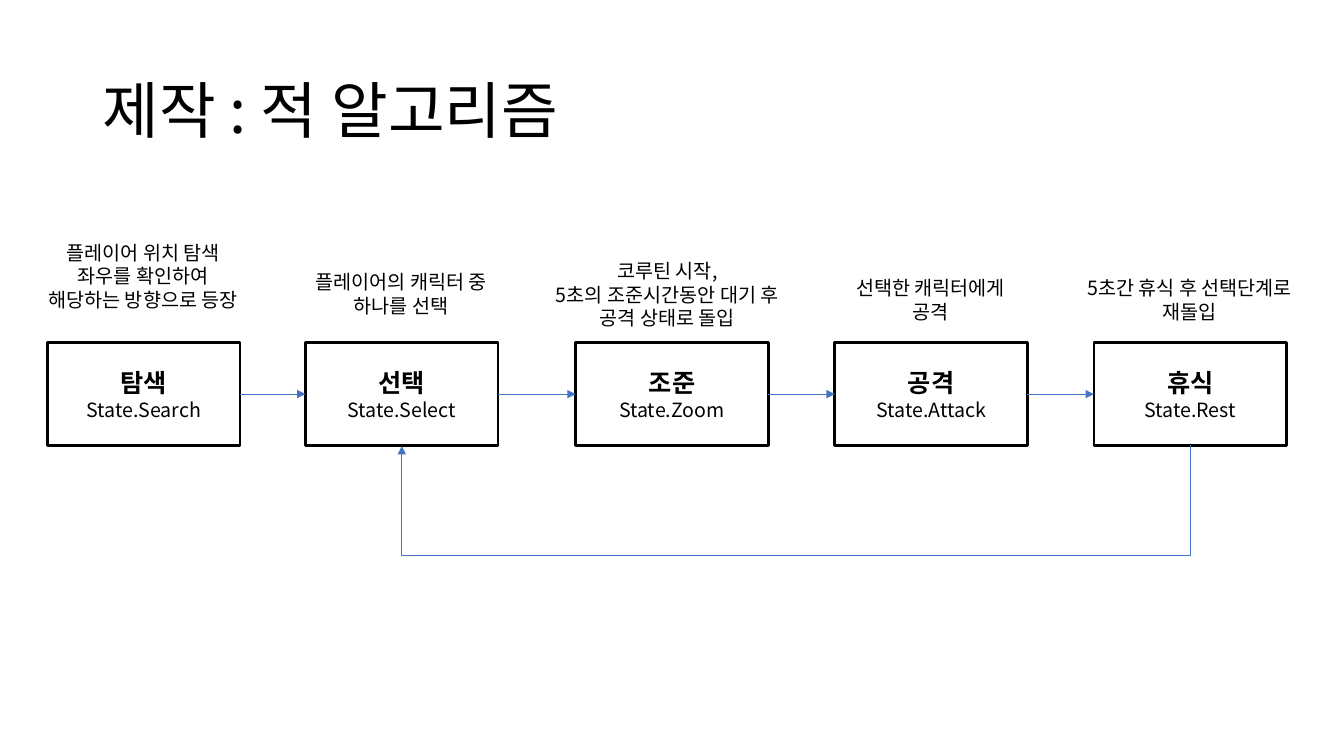
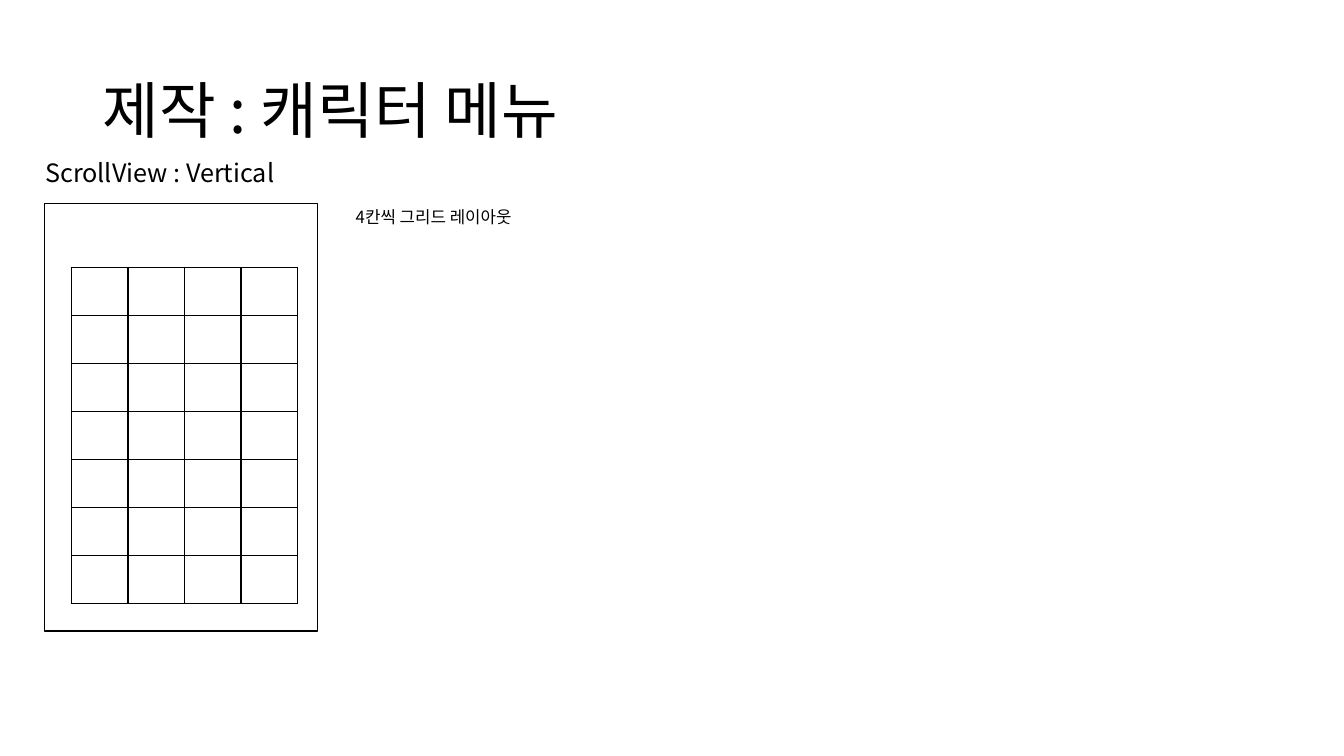
"""Build two slides: the enemy state algorithm and the character menu layout."""
import pptx
import pptx.util
import pptx.dml.color
import pptx.enum.shapes
import pptx.enum.text
import pptx.oxml
import pptx.oxml.ns

Inches = pptx.util.Inches
Pt = pptx.util.Pt
PP_ALIGN = pptx.enum.text.PP_ALIGN
ANCHOR = pptx.enum.text.MSO_ANCHOR
CONNECTOR = pptx.enum.shapes.MSO_CONNECTOR

FONT = "Noto Sans CJK KR"
COLORS = {"ink": "000000", "arrow": "4472C4"}
SLIDE_SIZE = (13.33, 7.5)
TITLE_AREA = (0.92, 0.4, 11.5, 1.45)
TITLES = {"algorithm": "제작 : 적 알고리즘", "menu": "제작 : 캐릭터 메뉴"}

STATE_TOP, STATE_WIDTH, STATE_HEIGHT = 3.4, 1.91, 1.02
RETURN_Y = 5.53
TOP_SITE, LEFT_SITE, BOTTOM_SITE, RIGHT_SITE = range(4)
STATES = [
    {"left": 0.47, "name": "탐색", "code": "State.Search", "caption_center": 1.42, "caption_top": 2.34,
     "caption": ["플레이어 위치 탐색", "좌우를 확인하여", "해당하는 방향으로 등장"]},
    {"left": 3.03, "name": "선택", "code": "State.Select", "caption_center": 3.98, "caption_top": 2.63,
     "caption": ["플레이어의 캐릭터 중", "하나를 선택"]},
    {"left": 5.71, "name": "조준", "code": "State.Zoom", "caption_center": 6.62, "caption_top": 2.52,
     "caption": ["코루틴 시작,", "5초의 조준시간동안 대기 후", "공격 상태로 돌입"]},
    {"left": 8.28, "name": "공격", "code": "State.Attack", "caption_center": 9.23, "caption_top": 2.69,
     "caption": ["선택한 캐릭터에게", "공격"]},
    {"left": 10.85, "name": "휴식", "code": "State.Rest", "caption_center": 11.8, "caption_top": 2.69,
     "caption": ["5초간 휴식 후 선택단계로", "재돌입"]},
]
CAPTION_WIDTH, CAPTION_LINE = 2.5, 0.24

MENU_FRAME = (0.44, 2.02, 2.71, 4.24)
MENU_GRID = (0.71, 2.65, 2.24, 3.34)
MENU_ROWS, MENU_COLUMNS = 7, 4
MENU_LABEL = "ScrollView : Vertical"
MENU_NOTE = "4칸씩 그리드 레이아웃"


def rgb(name):
    return pptx.dml.color.RGBColor.from_string(COLORS[name])


def area(*lengths):
    return [Inches(length) for length in lengths]


def add_xml(parent, tag, **attributes):
    child = pptx.oxml.parse_xml(f'<a:{tag} {pptx.oxml.ns.nsdecls("a")}/>')
    for key, value in attributes.items():
        child.set(key, str(value))
    parent.append(child)
    return child


def write(frame, lines, align=PP_ALIGN.LEFT, spacing=None):
    """Fill a text frame from (text, size, bold) lines."""
    frame.text = "\n".join(text for text, _, _ in lines)
    for paragraph, (_, size, bold) in zip(frame.paragraphs, lines):
        paragraph.alignment = align
        paragraph.line_spacing = spacing
        for run in paragraph.runs:
            run.font.size = Pt(size)
            run.font.bold = bold
            run.font.name = FONT
            run.font.color.rgb = rgb("ink")
            add_xml(run.font._element, "ea", typeface=FONT)


def add_text(slide, place, lines, wrap=True, anchor=ANCHOR.TOP, **style):
    frame = slide.shapes.add_textbox(*area(*place)).text_frame
    frame.word_wrap = wrap
    frame.vertical_anchor = anchor
    write(frame, lines, **style)


def add_titled_slide(deck, title):
    slide = deck.slides.add_slide(deck.slide_layouts[6])
    add_text(slide, TITLE_AREA, [(title, 44, False)], anchor=ANCHOR.MIDDLE, spacing=0.9)
    return slide


def add_outline(slide, place, weight):
    outline = slide.shapes.add_shape(pptx.enum.shapes.MSO_SHAPE.RECTANGLE, *area(*place))
    outline.shadow.inherit = False
    outline.fill.background()
    outline.line.color.rgb = rgb("ink")
    outline.line.width = Pt(weight)
    return outline


def add_arrow(slide, kind, source, source_site, target, target_site):
    arrow = slide.shapes.add_connector(kind, 0, 0, 0, 0)
    arrow.begin_connect(source, source_site)
    arrow.end_connect(target, target_site)
    arrow.line.color.rgb = rgb("arrow")
    arrow.line.width = Pt(0.5)
    add_xml(arrow.line._get_or_add_ln(), "tailEnd", type="triangle")
    add_xml(arrow._element.spPr, "effectLst")
    return arrow


def add_return_arrow(slide, source, target):
    """Run an elbow from below the source, along RETURN_Y, up into the target."""
    arrow = add_arrow(slide, CONNECTOR.ELBOW, source, BOTTOM_SITE, target, BOTTOM_SITE)
    span, depth = source.left - target.left, Inches(0.01)
    bottom = source.top + source.height
    center = target.left + (target.width + span) // 2
    transform = arrow._element.spPr.xfrm
    for flip in ("flipH", "flipV"):
        transform.attrib.pop(flip, None)
    transform.set("rot", str(90 * 60000))
    arrow.left, arrow.top = center - depth // 2, bottom - span // 2
    arrow.width, arrow.height = depth, span
    drop = round((Inches(RETURN_Y) - bottom) / depth * 100000)
    guides = arrow._element.spPr.prstGeom.get_or_add_avLst()
    add_xml(guides, "gd", name="adj1", fmla=f"val {drop}")


def build_algorithm(deck):
    slide = add_titled_slide(deck, TITLES["algorithm"])
    boxes = []
    for state in STATES:
        box = add_outline(slide, (state["left"], STATE_TOP, STATE_WIDTH, STATE_HEIGHT), 2)
        box.text_frame.vertical_anchor = ANCHOR.MIDDLE
        write(box.text_frame, [(state["name"], 18, True), (state["code"], 14, False)], PP_ALIGN.CENTER)
        boxes.append(box)
        caption = state["caption"]
        place = (state["caption_center"] - CAPTION_WIDTH / 2, state["caption_top"],
                 CAPTION_WIDTH, 0.1 + CAPTION_LINE * len(caption))
        add_text(slide, place, [(line, 14, False) for line in caption],
                 wrap=False, align=PP_ALIGN.CENTER)
    for source, target in zip(boxes, boxes[1:]):
        add_arrow(slide, CONNECTOR.STRAIGHT, source, RIGHT_SITE, target, LEFT_SITE)
    add_return_arrow(slide, boxes[-1], boxes[1])


def add_menu_grid(slide):
    grid = slide.shapes.add_table(MENU_ROWS, MENU_COLUMNS, *area(*MENU_GRID)).table
    grid.first_row = grid.horz_banding = False
    for cell in grid.iter_cells():
        properties = cell._tc.get_or_add_tcPr()
        for side in ("lnL", "lnR", "lnT", "lnB"):
            border = add_xml(properties, side, w=Pt(1))
            add_xml(add_xml(border, "solidFill"), "srgbClr", val=COLORS["ink"])
        cell.fill.background()


def build_menu(deck):
    slide = add_titled_slide(deck, TITLES["menu"])
    add_outline(slide, MENU_FRAME, 1)
    add_text(slide, (0.35, 1.51, 2.91, 0.4), [(MENU_LABEL, 18, False)])
    add_menu_grid(slide)
    add_text(slide, (3.43, 2.02, 7.61, 1.18), [(MENU_NOTE, 12, False)], spacing=0.9)


def main():
    deck = pptx.Presentation()
    deck.slide_width, deck.slide_height = area(*SLIDE_SIZE)
    build_algorithm(deck)
    build_menu(deck)
    deck.save("out.pptx")


if __name__ == "__main__":
    main()
